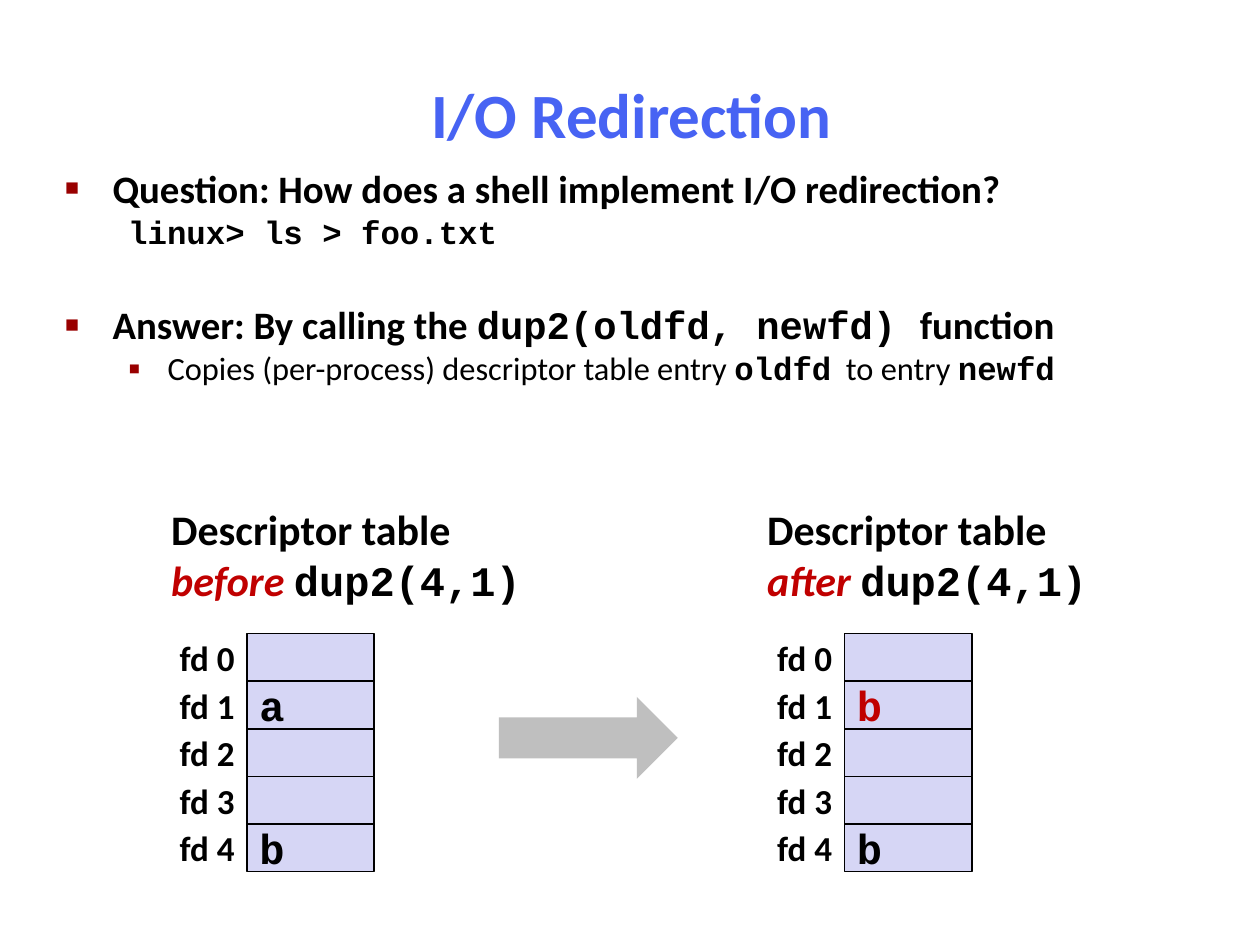
from pptx import Presentation
from pptx import util as u
from pptx.dml.color import RGBColor
from pptx.enum import shapes, text
from pptx.oxml.ns import qn
from lxml import etree

SANS, MONO = "Calibri", "Courier New"
BLACK, RED, BULLET_RED = "000000", "C00000", "990000"
LEFT, CENTER, RIGHT = text.PP_ALIGN.LEFT, text.PP_ALIGN.CENTER, text.PP_ALIGN.RIGHT

CELL_W, CELL_H, TABLE_TOP = 72.7, 27.2, 362.1


def rgb(value):
    return RGBColor.from_string(value)


def add_run(p, content, size, font=SANS, color=BLACK, bold=True, italic=False):
    r = p.add_run()
    r.text = content
    r.font.size = u.Pt(size)
    r.font.name = font
    r.font.bold = bold
    r.font.italic = italic
    r.font.color.rgb = rgb(color)


def add_text_box(s, x, y, w, h, wrap=False, anchor=text.MSO_ANCHOR.MIDDLE):
    tf = s.shapes.add_textbox(u.Pt(x), u.Pt(y), u.Pt(w), u.Pt(h)).text_frame
    tf.word_wrap = wrap
    tf.vertical_anchor = anchor
    return tf


def add_line(s, x, y, w, h, content, size, align, **style):
    p = add_text_box(s, x, y, w, h).paragraphs[0]
    p.alignment = align
    add_run(p, content, size, **style)


def add_filled_shape(s, kind, x, y, w, h, fill, line=None):
    sp = s.shapes.add_shape(kind, u.Pt(x), u.Pt(y), u.Pt(w), u.Pt(h))
    sp.shadow.inherit = False
    sp.fill.solid()
    sp.fill.fore_color.rgb = rgb(fill)
    if line:
        sp.line.color.rgb = rgb(line)
        sp.line.width = u.Pt(1)
    else:
        sp.line.fill.background()
    return sp


def format_item(p, level, before, margin, hanging=0, bullet=None, bullet_size=100):
    p.level = level
    p.line_spacing = 0.8
    p.space_before = u.Pt(before)
    pPr = p._p.get_or_add_pPr()
    pPr.set("marL", str(u.Pt(margin)))
    pPr.set("indent", str(u.Pt(-hanging)))
    if not bullet:
        etree.SubElement(pPr, qn("a:buNone"))
        return
    color = etree.SubElement(pPr, qn("a:buClr"))
    etree.SubElement(color, qn("a:srgbClr"), val=BULLET_RED)
    etree.SubElement(pPr, qn("a:buSzPct"), val=str(bullet_size * 1000))
    etree.SubElement(pPr, qn("a:buFont"), typeface="Arial")
    etree.SubElement(pPr, qn("a:buChar"), char=bullet)


def add_body(s):
    tf = add_text_box(s, 30.2, 95.8, 653.8, 149.8, wrap=True, anchor=text.MSO_ANCHOR.TOP)
    main_item = dict(level=0, margin=27, hanging=27, bullet="■", bullet_size=60)
    sub_item = dict(level=1, before=5, margin=58.5, hanging=22.5, bullet="▪", bullet_size=110)

    p = tf.paragraphs[0]
    format_item(p, before=0, **main_item)
    add_run(p, "Question: How does a shell implement I/O redirection?", 22.2)

    p = tf.add_paragraph()
    format_item(p, level=1, before=5, margin=36)
    add_run(p, "linux> ls > foo.txt", 18.5, MONO)

    p = tf.add_paragraph()
    format_item(p, before=33.7, **main_item)
    add_run(p, "Answer: By calling the ", 22.2)
    add_run(p, "dup2(oldfd, newfd) ", 22.2, MONO)
    add_run(p, "function", 22.2)

    p = tf.add_paragraph()
    format_item(p, **sub_item)
    add_run(p, "Copies (per-process) descriptor table entry ", 18.5, bold=False)
    add_run(p, "oldfd", 18.5, MONO)
    add_run(p, "  to entry ", 18.5, bold=False)
    add_run(p, "newfd", 18.5, MONO)


def add_table_heading(s, x, w, moment):
    tf = add_text_box(s, x, 284.4, w, 64.8)
    add_run(tf.paragraphs[0], "Descriptor table", 24)
    p = tf.add_paragraph()
    add_run(p, moment + " ", 24, color=RED, italic=True)
    add_run(p, "dup2(4,1)", 24, MONO)


def add_descriptor_table(s, x, entries):
    """Draw five descriptor cells; entries maps fd to (value, color)."""
    for fd in range(5):
        y = TABLE_TOP + fd * CELL_H
        cell = add_filled_shape(s, shapes.MSO_SHAPE.RECTANGLE, x, y, CELL_W, CELL_H,
                                "D6D6F5", BLACK)
        if fd in entries:
            value, color = entries[fd]
            tf = cell.text_frame
            tf.word_wrap = False
            tf.vertical_anchor = text.MSO_ANCHOR.MIDDLE
            tf.paragraphs[0].alignment = LEFT
            add_run(tf.paragraphs[0], value, 24, MONO, color)
        add_line(s, x - CELL_W, y, CELL_W, CELL_H, f"fd {fd}", 20, RIGHT)


def main():
    prs = Presentation()
    prs.slide_width, prs.slide_height = u.Pt(720), u.Pt(540)
    s = prs.slides.add_slide(prs.slide_layouts[6])

    # Title and explanation
    add_line(s, 62, 34.6, 597.6, 59.8, "I/O Redirection", 36, CENTER, color="4763F3")
    add_body(s)

    # Descriptor table before the call
    add_descriptor_table(s, 141.1, {1: ("a", BLACK), 4: ("b", BLACK)})
    add_table_heading(s, 90.7, 214.6, "before")

    # Descriptor table after the call
    add_descriptor_table(s, 482.6, {1: ("b", RED), 4: ("b", BLACK)})
    add_table_heading(s, 431.3, 197.3, "after")

    # Arrow from before to after
    add_filled_shape(s, shapes.MSO_SHAPE.RIGHT_ARROW, 285.1, 398.2, 102.2, 46.8, "BFBFBF")

    prs.save("out.pptx")


if __name__ == "__main__":
    main()
